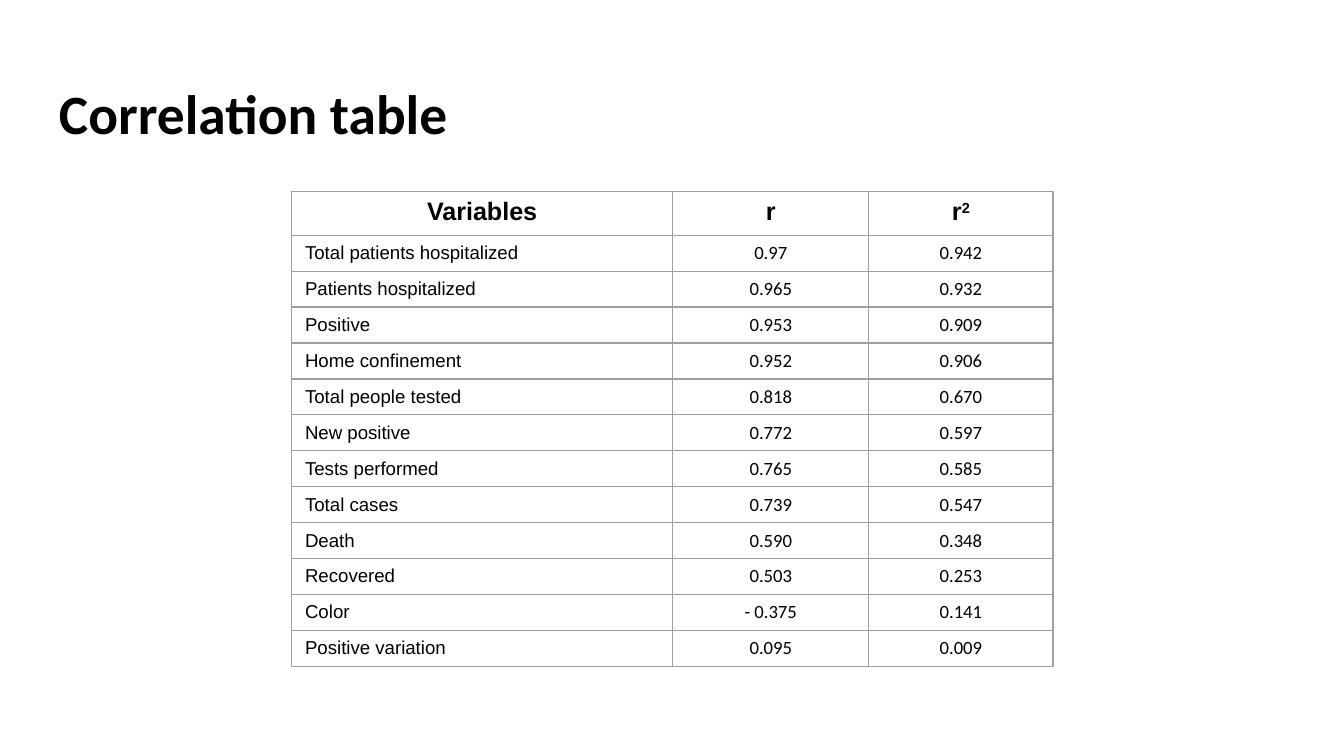
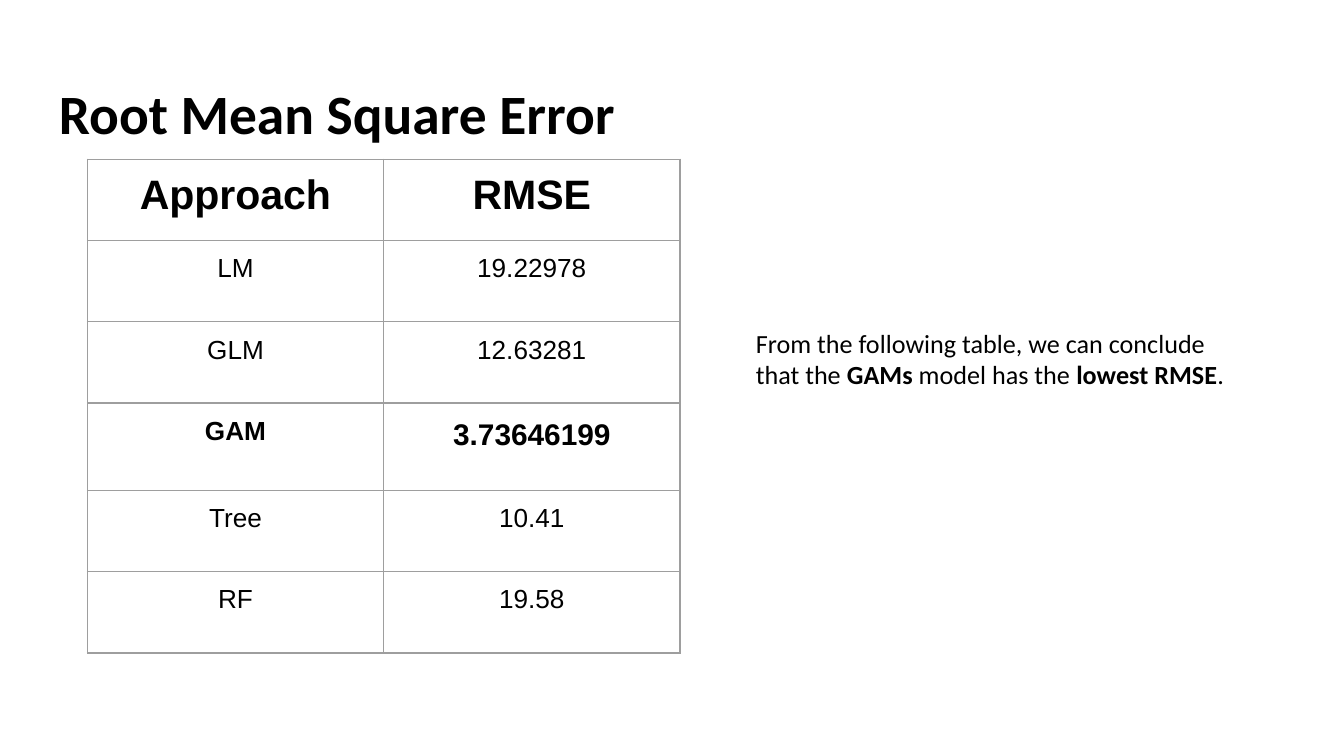
from dataclasses import dataclass

from lxml.etree import SubElement
from pptx import Presentation
from pptx.dml.color import RGBColor
from pptx.enum.text import MSO_ANCHOR as Anchor, MSO_AUTO_SIZE as AutoSize, PP_ALIGN as Align
from pptx.oxml.ns import qn
from pptx.text.text import Font
from pptx.util import Emu, Pt


@dataclass(frozen=True)
class Theme:
    text: str = "000000"
    border: str = "9E9E9E"
    background: str = "FFFFFF"
    border_width: float = 0.75
    heading_font: str = "Calibri"
    table_font: str = "Arial"
    title_size: float = 29.7
    body_size: float = 14
    correlation_header: float = 13.5
    correlation_body: float = 10
    error_header: float = 22
    error_best: float = 16


THEME = Theme()
EMU_PER_PX = 4572  # 200 px to the inch
SLIDE_SIZE = (2000, 1125)
TITLE_BOX = (68, 98, 1864, 126)
PADDING = 20
HALF_PADDING = 10
TIGHT_PADDING = 6

CORRELATIONS = [
    ("Total patients hospitalized", "0.97", "0.942"),
    ("Patients hospitalized", "0.965", "0.932"),
    ("Positive", "0.953", "0.909"),
    ("Home confinement", "0.952", "0.906"),
    ("Total people tested", "0.818", "0.670"),
    ("New positive", "0.772", "0.597"),
    ("Tests performed", "0.765", "0.585"),
    ("Total cases", "0.739", "0.547"),
    ("Death", "0.590", "0.348"),
    ("Recovered", "0.503", "0.253"),
    ("Color", "- 0.375", "0.141"),
    ("Positive variation", "0.095", "0.009"),
]
ERRORS = [
    ("LM", "19.22978"),
    ("GLM", "12.63281"),
    ("GAM", "3.73646199"),
    ("Tree", "10.41"),
    ("RF", "19.58"),
]
BEST_APPROACH = "GAM"


def px(length):
    return Emu(length * EMU_PER_PX)


def set_font(font, name, size, bold=False):
    font.name, font.size, font.bold = name, Pt(size), bold
    font.color.rgb = RGBColor.from_string(THEME.text)


def set_margins(target, across, down):
    target.margin_left = target.margin_right = px(across)
    target.margin_top = target.margin_bottom = px(down)


def add_text(slide, box, size, bold=False):
    """Add a wrapping text box and return its frame and first paragraph."""
    frame = slide.shapes.add_textbox(*map(px, box)).text_frame
    frame.word_wrap = True
    set_margins(frame, PADDING, PADDING)
    paragraph = frame.paragraphs[0]
    set_font(paragraph.font, THEME.heading_font, size, bold)
    return frame, paragraph


def add_titled_slide(presentation, title):
    slide = presentation.slides.add_slide(presentation.slide_layouts[6])
    slide.background.fill.solid()
    slide.background.fill.fore_color.rgb = RGBColor.from_string(THEME.background)
    _, paragraph = add_text(slide, TITLE_BOX, THEME.title_size, bold=True)
    paragraph.add_run().text = title
    return slide


def set_borders(cell):
    properties = cell._tc.get_or_add_tcPr()
    for position, side in enumerate(("a:lnL", "a:lnR", "a:lnT", "a:lnB")):
        line = SubElement(properties, qn(side), w=str(Pt(THEME.border_width)))
        fill = SubElement(line, qn("a:solidFill"))
        SubElement(fill, qn("a:srgbClr"), val=THEME.border)
        properties.insert(position, line)


def add_grid(slide, left, top, widths, heights):
    """Add a plain bordered table with the given columns and rows."""
    box = (left, top, sum(widths), sum(heights))
    table = slide.shapes.add_table(len(heights), len(widths), *map(px, box)).table
    table.first_row = table.horz_banding = False
    for column, width in zip(table.columns, widths):
        column.width = px(width)
    for row, height in zip(table.rows, heights):
        row.height = px(height)
    for cell in table.iter_cells():
        cell.fill.background()
        set_borders(cell)
    return table


def fill_cell(cell, texts, name, size, bold=False, align=Align.CENTER):
    """Write the runs of a cell; the end mark shares their font, so it adds no height."""
    paragraph = cell.text_frame.paragraphs[0]
    paragraph.alignment = align
    for text in texts:
        run = paragraph.add_run()
        run.text = text
        set_font(run.font, name, size, bold)
    set_font(Font(paragraph._p.get_or_add_endParaRPr()), name, size, bold)
    return paragraph


def add_correlation_table(slide, left, top):
    widths = (567, 292, 274)
    table = add_grid(slide, left, top, widths, [50] * (len(CORRELATIONS) + 1))

    # Header, with a raised 2 in the last column
    for column, texts in enumerate((["Variables"], ["r"], ["r", "2"])):
        cell = table.cell(0, column)
        set_margins(cell, PADDING, HALF_PADDING)
        paragraph = fill_cell(cell, texts, THEME.table_font, THEME.correlation_header, True)
    paragraph.runs[-1].font._element.set("baseline", "30000")

    # Variables and their values
    for row, values in enumerate(CORRELATIONS, start=1):
        for column, text in enumerate(values):
            cell = table.cell(row, column)
            cell.vertical_anchor = Anchor.MIDDLE
            if column == 2 or (column == 1 and row > 2):
                set_margins(cell, TIGHT_PADDING, TIGHT_PADDING)
            else:
                set_margins(cell, PADDING, HALF_PADDING)
            name = THEME.heading_font if column else THEME.table_font
            align = Align.CENTER if column else Align.LEFT
            fill_cell(cell, [text], name, THEME.correlation_body, align=align)


def add_error_table(slide, left, top):
    heights = [121] + [130 if name == BEST_APPROACH else 121 for name, _ in ERRORS]
    table = add_grid(slide, left, top, (441, 441), heights)
    for row, values in enumerate([("Approach", "RMSE"), *ERRORS]):
        best = values[0] == BEST_APPROACH
        for column, text in enumerate(values):
            cell = table.cell(row, column)
            set_margins(cell, PADDING, PADDING)
            best_value = best and column == 1
            size = THEME.error_best if best_value else THEME.body_size
            if row == 0:
                size = THEME.error_header
            paragraph = fill_cell(cell, [text], THEME.table_font, size, row == 0 or best)
            if best_value:
                paragraph.line_spacing = 1.07


def add_conclusion(slide, box):
    frame, paragraph = add_text(slide, box, THEME.body_size)
    frame.auto_size = AutoSize.SHAPE_TO_FIT_TEXT
    for text, bold in (
        ("From the following table, we can conclude that the ", False),
        ("GAMs", True),
        (" model has the ", False),
        ("lowest RMSE", True),
        (".", False),
    ):
        run = paragraph.add_run()
        run.text = text
        run.font.bold = bold


def main():
    presentation = Presentation()
    presentation.slide_width, presentation.slide_height = map(px, SLIDE_SIZE)

    # Correlations
    slide = add_titled_slide(presentation, "Correlation table")
    add_correlation_table(slide, 434, 285)

    # Model errors
    slide = add_titled_slide(presentation, "Root Mean Square Error")
    add_error_table(slide, 130, 237)
    add_conclusion(slide, (1105, 467, 764, 228))

    presentation.save("out.pptx")


if __name__ == "__main__":
    main()
